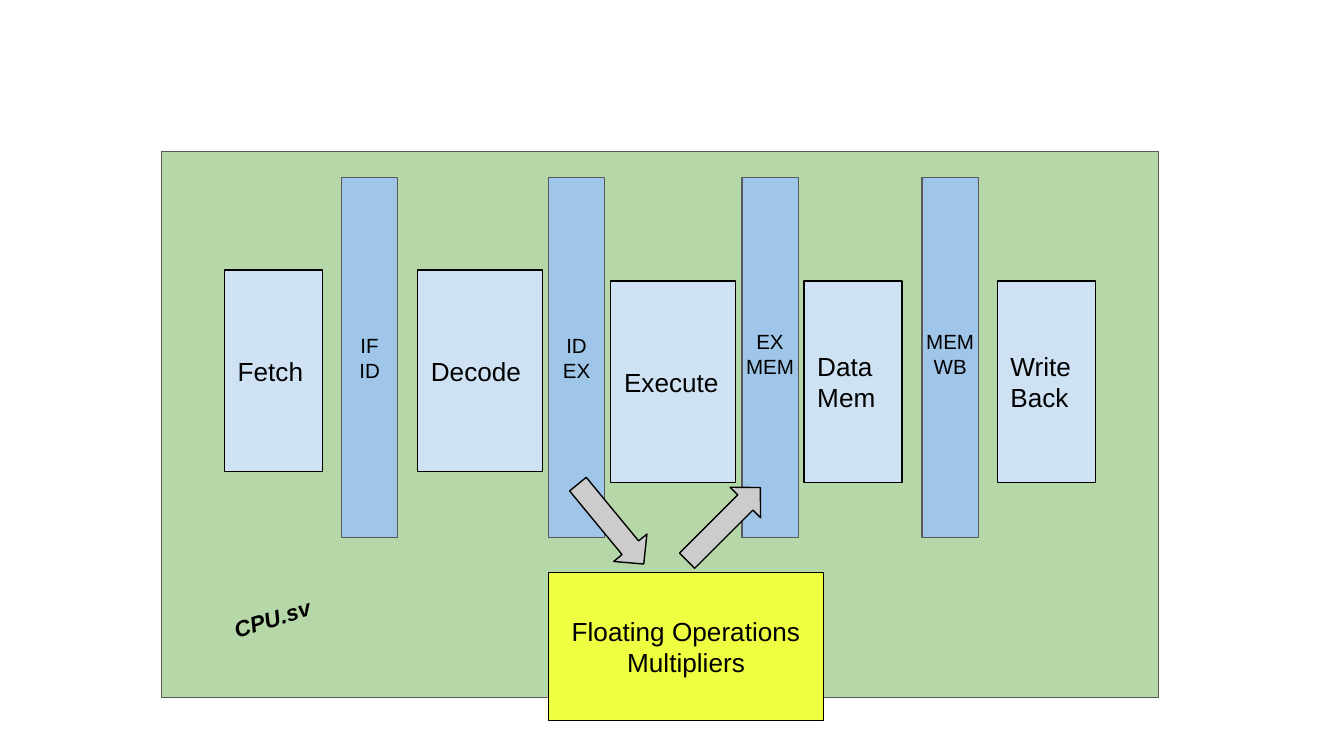
"""Draw a pipelined CPU with its floating point unit."""
from pptx import Presentation
from pptx.dml.color import RGBColor
from pptx.enum.shapes import MSO_SHAPE
from pptx.enum.text import MSO_ANCHOR, PP_ALIGN
from pptx.util import Inches, Pt

BLACK = RGBColor(0x00, 0x00, 0x00)
DARK_GRAY = RGBColor(0x59, 0x59, 0x59)
LIGHT_GRAY = RGBColor(0xCC, 0xCC, 0xCC)
GREEN = RGBColor(0xB6, 0xD7, 0xA8)
PALE_BLUE = RGBColor(0xCF, 0xE2, 0xF3)
BLUE = RGBColor(0x9F, 0xC5, 0xE8)
YELLOW = RGBColor(0xEE, 0xFF, 0x41)

STAGE_LEFT, STAGE_STEP = 1.67, (7.42 - 1.67) / 4
STAGES = [
    (["Fetch"], 2.01, 0.73),
    (["Decode"], 2.01, 0.93),
    (["Execute"], 2.09, 0.93),
    (["Data", "Mem"], 2.09, 0.73),
    (["Write", "Back"], 2.09, 0.73),
]
REGISTER_TOP, REGISTER_WIDTH, REGISTER_HEIGHT = 1.32, 0.42, 2.68
INNER_REGISTERS = [(["IF", "ID"], 2.54), (["IDEX"], 4.08)]
LABELLED_REGISTERS = [
    (["EX", "MEM"], 5.52, 5.38, 0.7),
    (["MEM", "WB"], 6.86, 6.76, 0.62),
]
ARROWS = [(4.16, 50.5), (5, 315)]


def write_lines(frame, lines, size, align, anchor, emphasis=False):
    frame.word_wrap = True
    frame.vertical_anchor = anchor
    frame.margin_left = frame.margin_right = Inches(0.1)
    frame.margin_top = frame.margin_bottom = Inches(0.1)
    for index, line in enumerate(lines):
        paragraph = frame.add_paragraph() if index else frame.paragraphs[0]
        paragraph.alignment = align
        run = paragraph.add_run()
        run.text = line
        run.font.name = "Arial"
        run.font.size = Pt(size)
        run.font.color.rgb = BLACK
        if emphasis:
            run.font.bold = run.font.italic = True


def add_block(slide, box, fill, outline, preset=MSO_SHAPE.RECTANGLE):
    block = slide.shapes.add_shape(preset, *map(Inches, box))
    block.shadow.inherit = False
    block.fill.solid()
    block.fill.fore_color.rgb = fill
    block.line.color.rgb = outline
    block.line.width = Pt(0.75)
    return block


def add_text_block(slide, box, fill, outline, lines, size, align):
    block = add_block(slide, box, fill, outline)
    write_lines(block.text_frame, lines, size, align, MSO_ANCHOR.MIDDLE)


def add_label(slide, box, lines, size, align, rotation=0, emphasis=False):
    label = slide.shapes.add_textbox(*map(Inches, box))
    label.rotation = rotation
    write_lines(label.text_frame, lines, size, align, MSO_ANCHOR.TOP, emphasis)


def add_arrow(slide, left, rotation):
    arrow = add_block(slide, (left, 3.74, 0.77, 0.32), LIGHT_GRAY, BLACK,
                      MSO_SHAPE.RIGHT_ARROW)
    arrow.adjustments[0] = 0.5
    arrow.adjustments[1] = 0.49
    arrow.rotation = rotation


def register_box(left):
    return left, REGISTER_TOP, REGISTER_WIDTH, REGISTER_HEIGHT


def main():
    deck = Presentation()
    deck.slide_width, deck.slide_height = Inches(10), Inches(10 * 9 / 16)
    slide = deck.slides.add_slide(deck.slide_layouts[6])

    add_block(slide, (1.2, 1.13, 7.42, 4.06), GREEN, DARK_GRAY)
    add_label(slide, (1.63, 4.37, 0.98, 0.4), ["CPU.sv"], 12, PP_ALIGN.LEFT,
              rotation=343, emphasis=True)
    for index, (lines, top, width) in enumerate(STAGES):
        left = STAGE_LEFT + index * STAGE_STEP
        add_text_block(slide, (left, top, width, 1.5), PALE_BLUE, BLACK,
                       lines, 14, PP_ALIGN.LEFT)
    for lines, left in INNER_REGISTERS:
        add_text_block(slide, register_box(left), BLUE, DARK_GRAY,
                       lines, 11, PP_ALIGN.CENTER)
    for _, left, _, _ in LABELLED_REGISTERS:
        add_block(slide, register_box(left), BLUE, DARK_GRAY)
    for lines, _, left, width in LABELLED_REGISTERS:
        add_label(slide, (left, 2.35, width, 0.57), lines, 11, PP_ALIGN.CENTER)
    add_text_block(slide, (4.08, 4.26, 2.05, 1.1), YELLOW, BLACK,
                   ["Floating Operations", "Multipliers"], 14, PP_ALIGN.CENTER)
    for left, rotation in ARROWS:
        add_arrow(slide, left, rotation)

    deck.save("out.pptx")


main()
